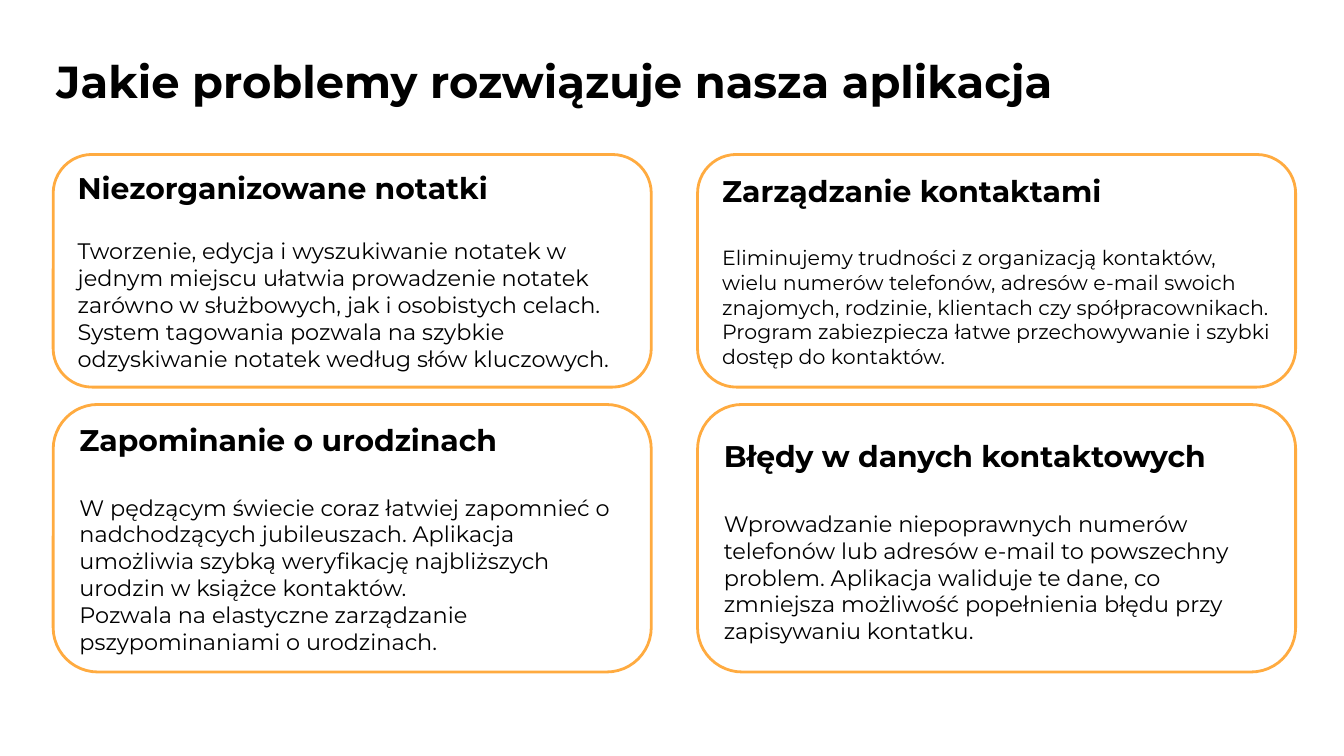
from pptx import Presentation
from pptx.dml.color import RGBColor
from pptx.enum.shapes import MSO_SHAPE
from pptx.enum.text import MSO_ANCHOR, MSO_AUTO_SIZE, PP_ALIGN
from pptx.util import Pt

ROUND = MSO_SHAPE.ROUNDED_RECTANGLE
TOP, MIDDLE = MSO_ANCHOR.TOP, MSO_ANCHOR.MIDDLE
LEFT = PP_ALIGN.LEFT
NO_FIT = MSO_AUTO_SIZE.NONE

FONT = "Montserrat"
BLACK, ORANGE = "000000", "FFAB40"
INSET = 7.2
COLS = (28.5, 373.7)
ROWS = ((82.8, 124.6), (216.7, 143.3))
CARD_WIDTH = 320.4

# Each card: heading, body size, gap under heading, downward shift, paragraphs
CARDS = (
    ("Niezorganizowane notatki", 12, 17, 0, (
        "Tworzenie, edycja i wyszukiwanie notatek w jednym miejscu ułatwia "
        "prowadzenie notatek zarówno w służbowych, jak i osobistych celach.",
        "System tagowania pozwala na szybkie odzyskiwanie notatek według "
        "słów kluczowych.")),
    ("Zarządzanie kontaktami", 11, 19.5, 0, (
        "Eliminujemy trudności z organizacją kontaktów, wielu numerów "
        "telefonów, adresów e-mail swoich znajomych, rodzinie, klientach "
        "czy spółpracownikach.",
        "Program zabiezpiecza łatwe przechowywanie i szybki dostęp do "
        "kontaktów.")),
    ("Zapominanie o urodzinach", 12, 19.5, 0, (
        "W pędzącym świecie coraz łatwiej zapomnieć o nadchodzących "
        "jubileuszach. Aplikacja umożliwia szybką weryfikację najbliższych "
        "urodzin w książce kontaktów.",
        "Pozwala na elastyczne zarządzanie pszypominaniami o urodzinach.")),
    ("Błędy w danych kontaktowych", 12, 19.5, 1.5, (
        "Wprowadzanie niepoprawnych numerów telefonów lub adresów e-mail to "
        "powszechny problem. Aplikacja waliduje te dane, co zmniejsza "
        "możliwość popełnienia błędu przy zapisywaniu kontatku.",)),
)


def color(code):
    """Turn a hex string into a colour."""
    return RGBColor.from_string(code)


def set_frame(frame, anchor, shift=0):
    """Set wrapping, anchor and insets of a text frame."""
    frame.word_wrap = True
    frame.auto_size = NO_FIT
    frame.vertical_anchor = anchor
    frame.margin_left = frame.margin_right = Pt(INSET)
    frame.margin_top = Pt(INSET + shift)
    frame.margin_bottom = Pt(INSET - shift)


def add_run(para, text, size, bold=False):
    """Add one left-aligned run to a paragraph."""
    para.alignment = LEFT
    run = para.add_run()
    run.text = text
    run.font.name = FONT
    run.font.size = Pt(size)
    run.font.bold = bold
    run.font.color.rgb = color(BLACK)


def add_title(slide, text):
    """Place and fill the title placeholder."""
    title = slide.shapes.title
    title.left, title.top = Pt(23), Pt(21.6)
    title.width, title.height = Pt(671), Pt(49)
    set_frame(title.text_frame, TOP)
    add_run(title.text_frame.paragraphs[0], text, 24, True)


def add_card(slide, left, top, height, card):
    """Add an outlined card with a heading and body paragraphs."""
    heading, size, gap, shift, body = card
    shape = slide.shapes.add_shape(
        ROUND, Pt(left), Pt(top), Pt(CARD_WIDTH), Pt(height))
    shape.shadow.inherit = False
    shape.fill.background()
    shape.line.color.rgb = color(ORANGE)
    shape.line.width = Pt(1.5)
    frame = shape.text_frame
    set_frame(frame, MIDDLE, shift)
    head = frame.paragraphs[0]
    head.space_after = Pt(gap)
    add_run(head, heading, 16, True)
    for text in body:
        add_run(frame.add_paragraph(), text, size)


def main():
    """Build the slide and save it."""
    deck = Presentation()
    deck.slide_width, deck.slide_height = Pt(720), Pt(405)
    slide = deck.slides.add_slide(deck.slide_layouts[5])
    add_title(slide, "Jakie problemy rozwiązuje nasza aplikacja")
    for index, card in enumerate(CARDS):
        row, col = divmod(index, len(COLS))
        top, height = ROWS[row]
        add_card(slide, COLS[col], top, height, card)
    deck.save("out.pptx")


if __name__ == "__main__":
    main()
